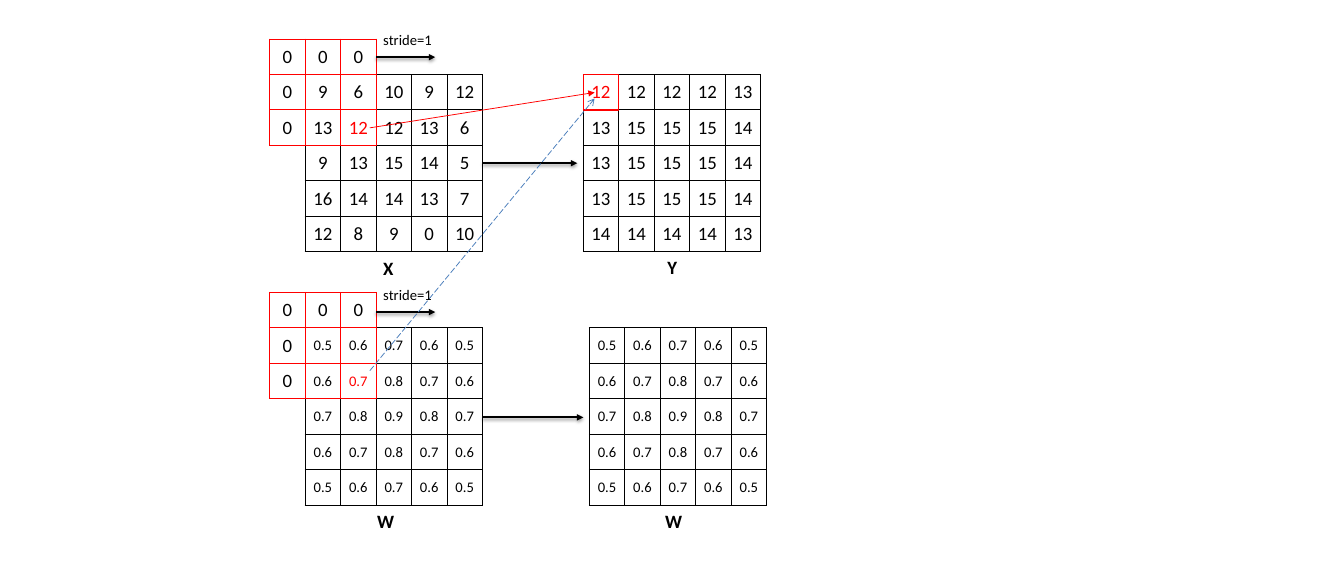
"""Build a slide showing a 3x3 window sliding over grids X and W with stride 1."""
from lxml.etree import SubElement
from pptx import Presentation
from pptx.dml.color import RGBColor
from pptx.enum.dml import MSO_LINE
from pptx.enum.shapes import MSO_CONNECTOR, MSO_SHAPE
from pptx.enum.text import MSO_ANCHOR, PP_ALIGN
from pptx.oxml.ns import qn
from pptx.util import Inches, Pt

COLORS = {"black": "000000", "red": "FF0000", "blue": "4B7EBC"}
FONT = "Calibri"
CELL = 2.36 / 5
X_LEFT, X_TOP, W_TOP = 4.06, 0.99, 4.36
Y_LEFT, W_OUT_LEFT = 7.76, 7.84

prs = Presentation()
prs.slide_width, prs.slide_height = Inches(17.88), Inches(7.5)
s = prs.slides.add_slide(prs.slide_layouts[6])


def add_grid(left, top, rows, size=18, border="black", marked=None):
    n = len(rows)
    side = Inches(CELL * n)
    tbl = s.shapes.add_table(n, n, Inches(left), Inches(top), side, side).table
    tbl.first_row = tbl.horz_banding = False
    for i, row in enumerate(rows):
        tbl.rows[i].height = tbl.columns[i].width = Inches(CELL)
        for j, value in enumerate(row):
            cell = tbl.cell(i, j)
            cell.vertical_anchor = MSO_ANCHOR.MIDDLE
            cell.margin_left = cell.margin_right = 0
            tcPr = cell._tc.get_or_add_tcPr()
            for edge in ("a:lnL", "a:lnR", "a:lnT", "a:lnB"):
                ln = SubElement(tcPr, qn(edge), w=str(Pt(1)))
                fill = SubElement(ln, qn("a:solidFill"))
                SubElement(fill, qn("a:srgbClr"), val=COLORS[border])
            cell.fill.background()
            if value == "":
                continue
            p = cell.text_frame.paragraphs[0]
            p.alignment = PP_ALIGN.CENTER
            r = p.add_run()
            r.text = str(value)
            r.font.size, r.font.name = Pt(size), FONT
            color = "red" if (i, j) == marked else "black"
            r.font.color.rgb = RGBColor.from_string(COLORS[color])


def add_arrow(x1, y1, x2, y2, color="black", width=2, head="triangle", dash=None, shadow=False):
    cx = s.shapes.add_connector(
        MSO_CONNECTOR.STRAIGHT, Inches(x1), Inches(y1), Inches(x2), Inches(y2))
    cx.line.color.rgb = RGBColor.from_string(COLORS[color])
    cx.line.width = Pt(width)
    if dash:
        cx.line.dash_style = dash
    SubElement(cx.line._get_or_add_ln(), qn("a:tailEnd"), type=head)
    effects = SubElement(cx._element.spPr, qn("a:effectLst"))
    if shadow:
        outer = SubElement(effects, qn("a:outerShdw"), blurRad=str(Pt(3.1)),
                           dist=str(Pt(1.6)), dir="5400000", rotWithShape="0")
        clr = SubElement(outer, qn("a:srgbClr"), val=COLORS["black"])
        SubElement(clr, qn("a:alpha"), val="38000")


x_values = [
    [9, 6, 10, 9, 12],
    [13, 12, 12, 13, 6],
    [9, 13, 15, 14, 5],
    [16, 14, 14, 13, 7],
    [12, 8, 9, 0, 10],
]
y_values = [
    [12, 12, 12, 12, 13],
    [13, 15, 15, 15, 14],
    [13, 15, 15, 15, 14],
    [13, 15, 15, 15, 14],
    [14, 14, 14, 14, 13],
]
weights = [[f"{0.9 - 0.1 * (abs(i - 2) + abs(j - 2)):.1f}" for j in range(5)] for i in range(5)]
window = [[0, 0, 0], [0, "", ""], [0, "", ""]]

add_grid(X_LEFT, X_TOP, x_values, marked=(1, 1))
add_grid(X_LEFT, W_TOP, weights, size=14, marked=(1, 1))
add_grid(Y_LEFT, X_TOP, y_values, marked=(0, 0))
add_grid(W_OUT_LEFT, W_TOP, weights, size=14)

sp = s.shapes.add_shape(
    MSO_SHAPE.RECTANGLE, Inches(Y_LEFT), Inches(X_TOP), Inches(CELL), Inches(CELL))
sp.shadow.inherit = False
sp.fill.background()
sp.line.color.rgb = RGBColor.from_string(COLORS["red"])
sp.line.width = Pt(1.25)

for top in (X_TOP, W_TOP):
    add_grid(X_LEFT - CELL, top - CELL, window, border="red")

for x1, x2, y in [(6.42, 7.68, 2.17), (5, 5.79, 0.76), (5, 5.79, 4.15), (6.42, 7.76, 5.55)]:
    add_arrow(x1, y, x2, y, shadow=True)
add_arrow(4.92, 1.7, 7.91, 1.23, "red", 0.75)
add_arrow(4.92, 4.93, 7.91, 1.31, "blue", 0.75, "arrow", MSO_LINE.LONG_DASH)

labels = [
    ("stride=1", 5, 0.36, 0.94, 0.34, 14, False),
    ("stride=1", 5, 3.75, 0.94, 0.34, 14, False),
    ("X", 5, 3.36, 0.71, 0.4, 18, True),
    ("W", 4.92, 6.73, 0.71, 0.4, 18, True),
    ("Y", 8.78, 3.35, 0.71, 0.4, 18, True),
    ("W", 8.75, 6.73, 0.71, 0.4, 18, True),
]
for text, left, top, width, height, size, bold in labels:
    tf = s.shapes.add_textbox(
        Inches(left), Inches(top), Inches(width), Inches(height)).text_frame
    tf.word_wrap = True
    r = tf.paragraphs[0].add_run()
    r.text = text
    r.font.size, r.font.name, r.font.bold = Pt(size), FONT, bold
    r.font.color.rgb = RGBColor.from_string(COLORS["black"])

prs.save("out.pptx")
